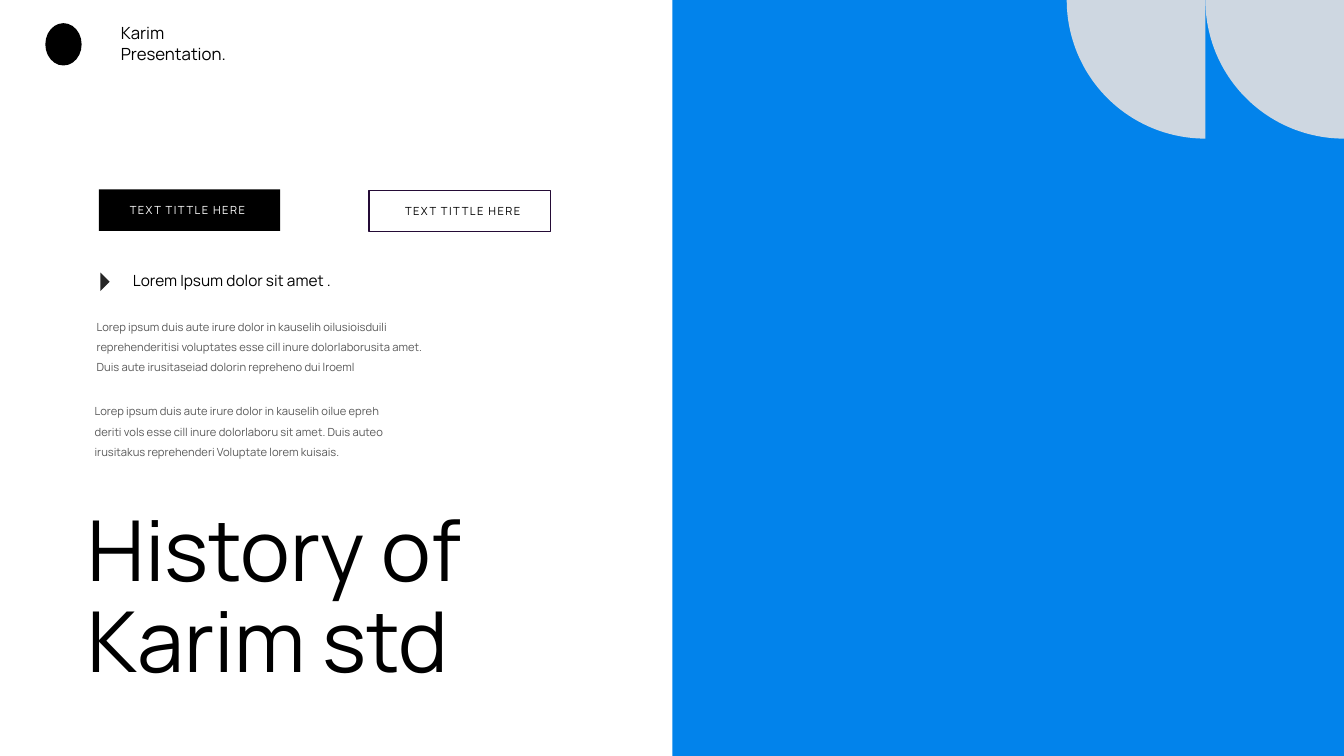
from math import cos, pi, sin

from pptx import Presentation
from pptx.dml.color import RGBColor
from pptx.enum.shapes import MSO_SHAPE
from pptx.enum.text import MSO_ANCHOR, MSO_AUTO_SIZE, PP_ALIGN
from pptx.util import Inches, Pt

RECT, OVAL, WEDGE = MSO_SHAPE.RECTANGLE, MSO_SHAPE.OVAL, MSO_SHAPE.RIGHT_TRIANGLE
LEFT, CENTER = PP_ALIGN.LEFT, PP_ALIGN.CENTER
TOP, FIXED = MSO_ANCHOR.TOP, MSO_AUTO_SIZE.NONE
FONT = "Manrope"
COLORS = {
    "blue": "0283EB", "mist": "CED7E1", "black": "000000", "white": "FFFFFF",
    "plum": "240B36", "gray": "595959", "dark": "262626",
}


def color(name):
    return RGBColor.from_string(COLORS[name])


def paint(shape, fill=None, line=None):
    shape.shadow.inherit = False
    if fill:
        shape.fill.solid()
        shape.fill.fore_color.rgb = color(fill)
    else:
        shape.fill.background()
    if line:
        shape.line.color.rgb = color(line)
        shape.line.width = Pt(1)
    else:
        shape.line.fill.background()


def add_form(slide, kind, box, fill=None, line=None):
    shape = slide.shapes.add_shape(kind, *map(Inches, box))
    paint(shape, fill, line)
    return shape


def write(frame, lines, size, ink, align=LEFT, gap=1.0, track=0):
    frame.word_wrap = True
    frame.auto_size = FIXED
    frame.vertical_anchor = TOP
    for i, line in enumerate(lines):
        para = frame.paragraphs[0] if i == 0 else frame.add_paragraph()
        para.alignment = align
        para.line_spacing = gap
        para.space_before = Pt(0)
        run = para.add_run()
        run.text = line
        run.font.name = FONT
        run.font.size = Pt(size)
        run.font.color.rgb = color(ink)
        if track:
            run.font._element.set("spc", str(track))


def add_text(slide, box, lines, size, ink, **style):
    label = slide.shapes.add_textbox(*map(Inches, box))
    write(label.text_frame, lines, size, ink, **style)


# Blue half with two quarter discs in its top right corner
def add_panel(slide, left, top, wide, high):
    add_form(slide, RECT, (left, top, wide, high), "blue")
    size, steps = 1.375, 48
    for n in (1, 0):
        hub = left + wide - n * size
        arc = [(Inches(hub - size * cos(k * pi / 2 / steps)),
                Inches(top + size * sin(k * pi / 2 / steps)))
               for k in range(steps + 1)]
        path = slide.shapes.build_freeform(Inches(hub), Inches(top))
        path.add_line_segments(arc, close=True)
        paint(path.convert_to_shape(), "mist")


# Plain mark and name of the deck
def add_brand(slide, left, top):
    add_form(slide, OVAL, (left, top + 0.05, 0.36, 0.42), "black")
    add_text(slide, (left + 0.65, top, 1.31, 0.5),
             ["Karim", "Presentation."], 12, "black")


# Framed label; the text box is placed relative to the frame
def add_button(slide, left, top, inset, wide, ink, fill=None, line=None):
    add_form(slide, RECT, (left, top, 1.8, 0.41), fill, line)
    add_text(slide, (left + inset, top + 0.09, wide, 0.24),
             ["TEXT TITTLE HERE"], 8, ink, align=CENTER, track=100)


# Lead line with its arrow, then two paragraphs
def add_story(slide, left, top):
    arrow = add_form(slide, WEDGE, (left + 0.09, top + 0.09, 0.13, 0.13), "dark")
    arrow.rotation = 225
    add_text(slide, (left + 0.38, top, 2.5, 0.29),
             ["Lorem Ipsum dolor sit amet ."], 11, "black")
    add_text(slide, (left + 0.02, top + 0.42, 3.56, 0.69), [
        "Lorep ipsum duis aute irure dolor in kauselih oilusioisduili "
        "reprehenderitisi voluptates esse cill inure dolorlaborusita amet. "
        "Duis aute irusitaseiad dolorin repreheno dui lroeml",
    ], 8, "gray", gap=1.5)
    add_text(slide, (left, top + 1.26, 3.45, 0.69), [
        "Lorep ipsum duis aute irure dolor in kauselih oilue epreh",
        "deriti vols esse cill inure dolorlaboru sit amet. Duis auteo "
        "irusitakus reprehenderi Voluptate lorem kuisais.",
    ], 8, "gray", gap=1.5)


def add_title(slide, left, top, wide, high):
    title = slide.shapes.title
    title.left, title.top = Inches(left), Inches(top)
    title.width, title.height = Inches(wide), Inches(high)
    write(title.text_frame, ["History of", "Karim std"], 60, "black", gap=0.9)


def main():
    deck = Presentation()
    deck.slide_width, deck.slide_height = Inches(13.33), Inches(7.5)
    slide = deck.slides.add_slide(deck.slide_layouts[5])
    add_panel(slide, 6.67, 0, 6.66, 7.5)
    add_title(slide, 0.77, 5, 4.34, 1.93)
    add_button(slide, 0.98, 1.88, 0.1, 1.56, "white", fill="black")
    add_button(slide, 3.66, 1.89, 0.23, 1.4, "black", line="plum")
    add_story(slide, 0.84, 2.64)
    add_brand(slide, 0.45, 0.18)
    deck.save("out.pptx")


if __name__ == "__main__":
    main()
